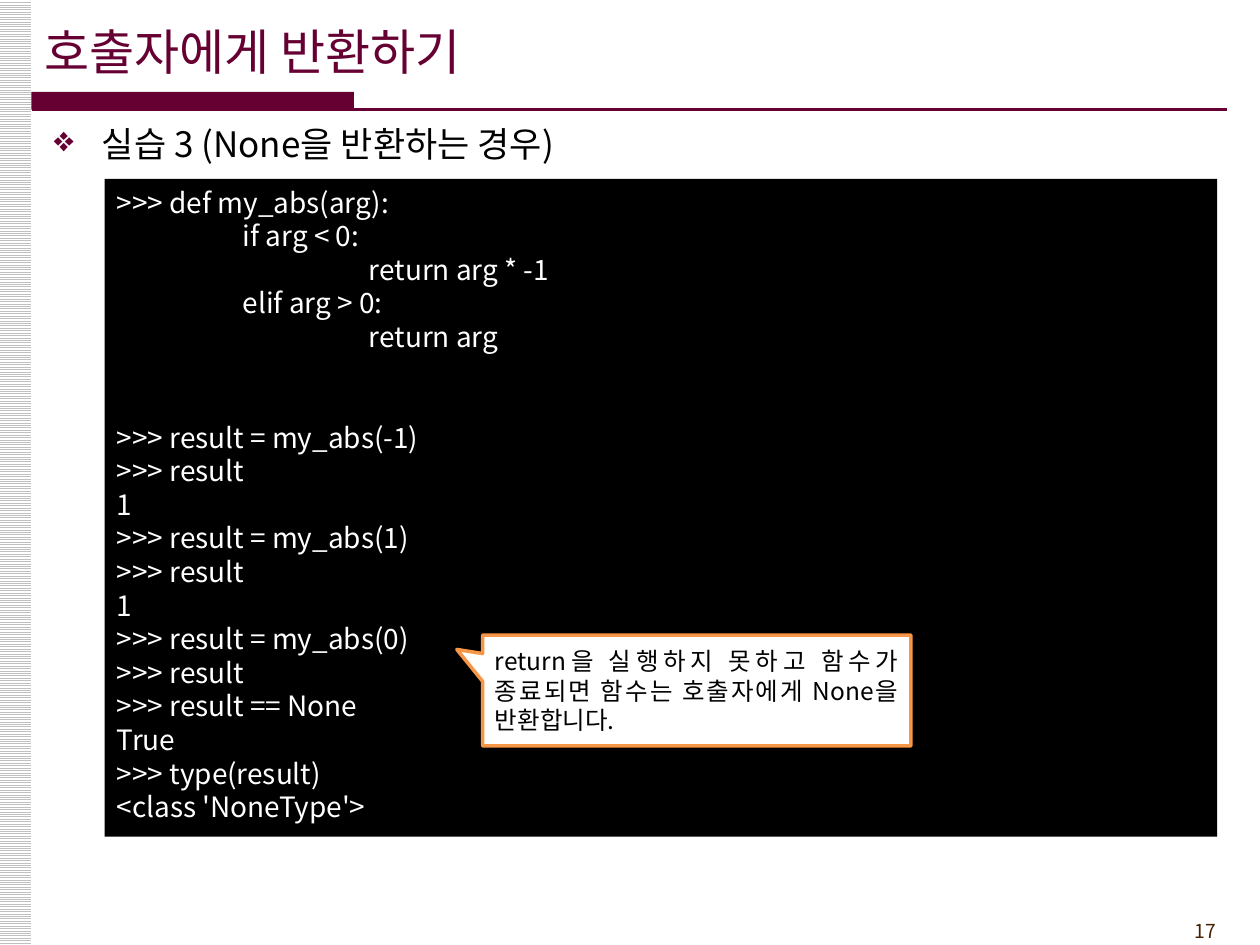
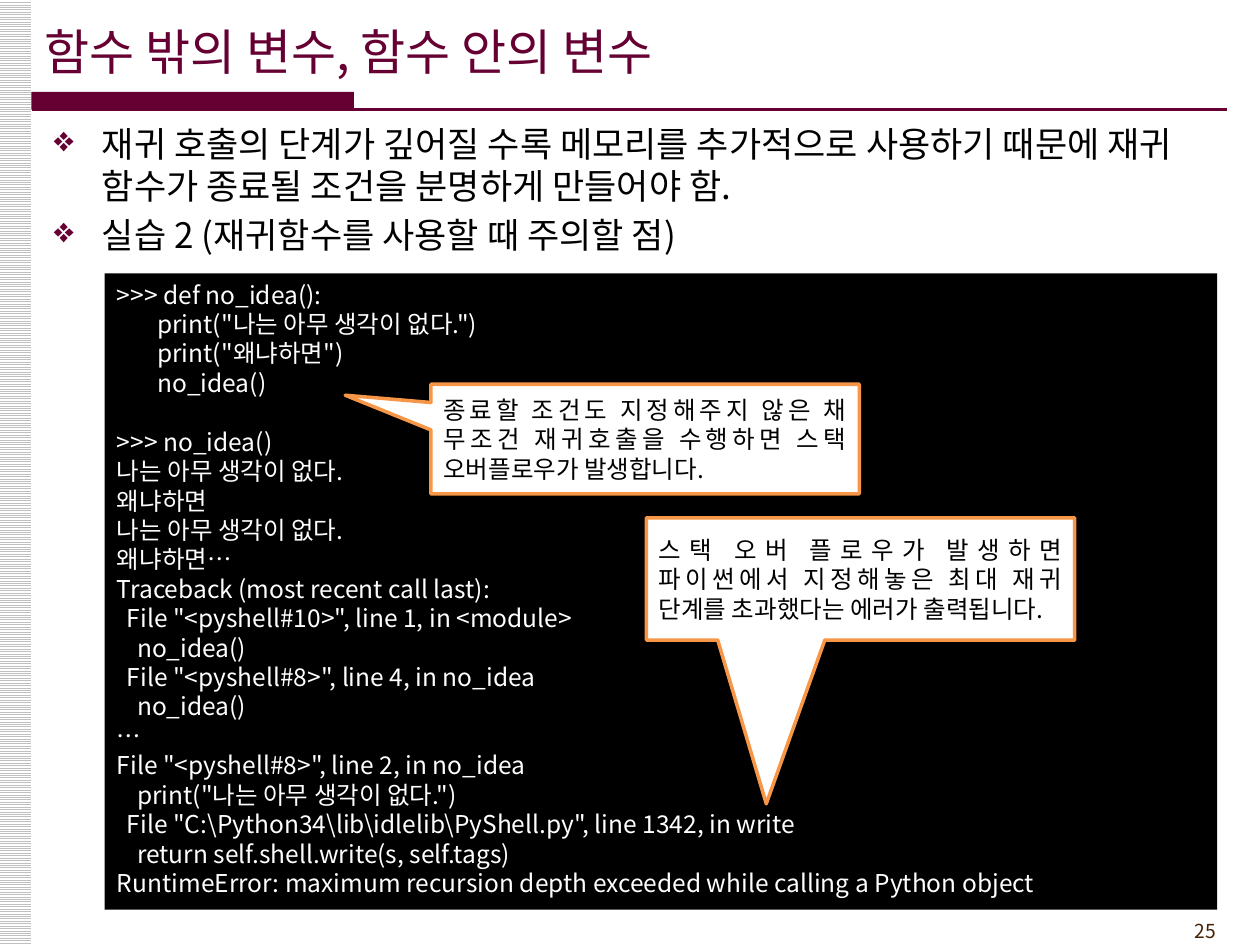
"""Build two lecture slides on Python functions: a code console with callouts."""
from lxml.etree import SubElement
from pptx import Presentation
from pptx.dml.color import RGBColor
from pptx.enum.dml import MSO_PATTERN
from pptx.enum.shapes import MSO_CONNECTOR, MSO_SHAPE
from pptx.enum.text import MSO_ANCHOR, MSO_AUTO_SIZE, PP_ALIGN
from pptx.oxml.ns import qn
from pptx.util import Inches, Pt

FONT = "Noto Sans CJK KR"
WINE, BLACK, WHITE = "660033", "000000", "FFFFFF"
ORANGE, BROWN, SILVER = "F79646", "452103", "C0C0C0"
LINE_HEIGHT = 1.2
BULLET_INDENT = Inches(0.38)

ABS_SESSION = """\
>>> def my_abs(arg):
    if arg < 0:
        return arg * -1
    elif arg > 0:
        return arg


>>> result = my_abs(-1)
>>> result
1
>>> result = my_abs(1)
>>> result
1
>>> result = my_abs(0)
>>> result
>>> result == None
True
>>> type(result)
<class 'NoneType'>"""

RECURSION_SESSION = r"""
>>> def no_idea():
        print("나는 아무 생각이 없다.")
        print("왜냐하면")
        no_idea()

>>> no_idea()
나는 아무 생각이 없다.
왜냐하면
나는 아무 생각이 없다.
왜냐하면…
Traceback (most recent call last):
  File "<pyshell#10>", line 1, in <module>
    no_idea()
  File "<pyshell#8>", line 4, in no_idea
    no_idea()
…
File "<pyshell#8>", line 2, in no_idea
    print("나는 아무 생각이 없다.")
  File "C:\Python34\lib\idlelib\PyShell.py", line 1342, in write
    return self.shell.write(s, self.tags)
RuntimeError: maximum recursion depth exceeded while calling a Python object
""".strip()


def color(value):
    return RGBColor.from_string(value)


class Lecture:
    """Holds the deck style and the current slide."""

    def __init__(self):
        self.deck = Presentation()
        self.deck.slide_width, self.deck.slide_height = Inches(10), Inches(7.5)
        self.slide = None

    def start(self, heading, number):
        self.slide = self.deck.slides.add_slide(self.deck.slide_layouts[5])
        stripes = self.shape(-0.01, 0, 0.26, 7.5, WHITE)
        stripes.fill.patterned()
        stripes.fill.pattern = MSO_PATTERN.LIGHT_HORIZONTAL
        stripes.fill.fore_color.rgb = color(SILVER)
        stripes.fill.back_color.rgb = color(WHITE)
        self.shape(0.25, 0.73, 2.56, 0.14, WINE)
        self.rule(0.25, 9.74, 0.87)
        self.title(heading)
        page = self.text_box(8.92, 7.25, 0.83, 0.29)
        self.set_lines(page, [str(number)], 11, BROWN, PP_ALIGN.RIGHT)

    def title(self, heading):
        title = self.slide.shapes.title
        title.left, title.top = Inches(0.25), Inches(0.09)
        title.width, title.height = Inches(8.27), Inches(0.63)
        frame = title.text_frame
        frame.auto_size = MSO_AUTO_SIZE.NONE
        frame.vertical_anchor = MSO_ANCHOR.MIDDLE
        self.set_lines(frame, [heading], 28, WINE)

    def text_box(self, left, top, width, height):
        box = self.slide.shapes.add_textbox(
            Inches(left), Inches(top), Inches(width), Inches(height))
        box.text_frame.word_wrap = True
        return box.text_frame

    def shape(self, left, top, width, height, fill, kind=MSO_SHAPE.RECTANGLE):
        shape = self.slide.shapes.add_shape(
            kind, Inches(left), Inches(top), Inches(width), Inches(height))
        shape.shadow.inherit = False
        shape.fill.solid()
        shape.fill.fore_color.rgb = color(fill)
        shape.line.fill.background()
        return shape

    def rule(self, left, right, y):
        rule = self.slide.shapes.add_connector(
            MSO_CONNECTOR.STRAIGHT, Inches(left), Inches(y), Inches(right), Inches(y))
        rule.line.color.rgb = color(WINE)
        rule.line.width = Pt(1.5)
        SubElement(rule._element.spPr, qn("a:effectLst"))

    def set_lines(self, frame, lines, size, ink, align=PP_ALIGN.LEFT):
        frame.text = "\n".join(lines)
        for paragraph in frame.paragraphs:
            paragraph.alignment = align
            paragraph.line_spacing = Pt(size * LINE_HEIGHT)
            for run in paragraph.runs:
                run.font.size = Pt(size)
                run.font.name = FONT
                run.font.color.rgb = color(ink)
                SubElement(run.font._element, qn("a:ea"), typeface=FONT)

    def bullets(self, *points):
        frame = self.text_box(0.33, 0.92, 9.5, 6.25)
        self.set_lines(frame, points, 20, BLACK)
        for index, paragraph in enumerate(frame.paragraphs):
            paragraph.space_before = Pt(4 if index else 0)
            properties = paragraph._p.get_or_add_pPr()
            properties.set("marL", str(BULLET_INDENT))
            properties.set("indent", str(-BULLET_INDENT))
            tint = SubElement(properties, qn("a:buClr"))
            SubElement(tint, qn("a:srgbClr"), val=WINE)
            SubElement(properties, qn("a:buChar"), char="❖")

    def console(self, top, height, session, size, space_width):
        frame = self.shape(0.83, top, 8.83, height, BLACK).text_frame
        frame.word_wrap = True
        frame.vertical_anchor = MSO_ANCHOR.TOP
        lines, gaps, blank = [], [], 0
        for line in session.splitlines():
            if line:
                lines.append(line)
                gaps.append(blank)
                blank = 0
            else:
                blank += 1
        self.set_lines(frame, [line.lstrip() for line in lines], size, WHITE, PP_ALIGN.JUSTIFY)
        for paragraph, line, gap in zip(frame.paragraphs, lines, gaps):
            depth = len(line) - len(line.lstrip())
            paragraph.space_before = Pt(gap * size * LINE_HEIGHT)
            paragraph._p.get_or_add_pPr().set("marL", str(Inches(depth * space_width)))

    def callout(self, left, top, height, tip, remark):
        callout = self.shape(left, top, 3.4, height, WHITE, MSO_SHAPE.RECTANGULAR_CALLOUT)
        callout.adjustments[0], callout.adjustments[1] = tip
        callout.line.color.rgb = color(ORANGE)
        callout.line.width = Pt(2)
        frame = callout.text_frame
        frame.word_wrap = True
        frame.vertical_anchor = MSO_ANCHOR.MIDDLE
        self.set_lines(frame, [remark], 14, BLACK, PP_ALIGN.JUSTIFY)


def main():
    lecture = Lecture()

    lecture.start("호출자에게 반환하기", 17)
    lecture.bullets("실습 3 (None을 반환하는 경우)")
    lecture.console(1.42, 5.22, ABS_SESSION, 16, 0.25)
    lecture.callout(3.83, 5.04, 0.88, (-0.56, -0.37),
                    "return을 실행하지 못하고 함수가 종료되면 함수는 호출자에게 None을 반환합니다.")

    lecture.start("함수 밖의 변수, 함수 안의 변수", 25)
    lecture.bullets(
        "재귀 호출의 단계가 깊어질 수록 메모리를 추가적으로 사용하기 때문에 "
        "재귀 함수가 종료될 조건을 분명하게 만들어야 함.",
        "실습 2 (재귀함수를 사용할 때 주의할 점)")
    lecture.console(2.17, 5.05, RECURSION_SESSION, 14, 0.04)
    lecture.callout(3.42, 3.05, 0.87, (-0.7, -0.4),
                    "종료할 조건도 지정해주지 않은 채 무조건 재귀호출을 수행하면 "
                    "스택 오버플로우가 발생합니다.")
    lecture.callout(5.13, 4.11, 0.97, (-0.22, 1.84),
                    "스택 오버 플로우가 발생하면 파이썬에서 지정해놓은 최대 재귀 단계를 "
                    "초과했다는 에러가 출력됩니다.")

    lecture.deck.save("out.pptx")


if __name__ == "__main__":
    main()
